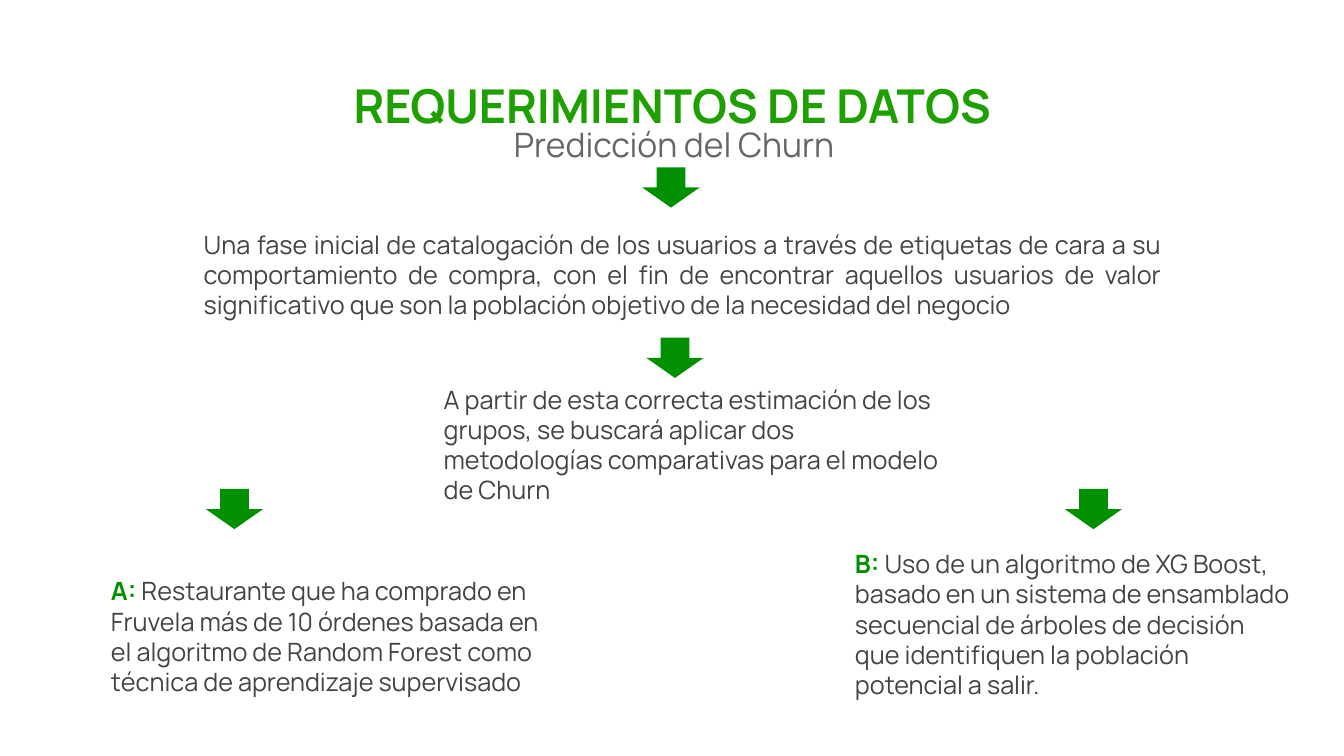
import pptx
import pptx.util
import pptx.dml.color
import pptx.enum.shapes
import pptx.enum.text

RGBColor = pptx.dml.color.RGBColor
LEAF = RGBColor(0x1E, 0xA1, 0x00)
GREEN = RGBColor(0x00, 0x90, 0x00)
GREY = RGBColor(0x66, 0x66, 0x66)
DARK = RGBColor(0x43, 0x43, 0x43)
FONT = "Manrope"
SCALE = 9144
INSET = 13

ALIGN = pptx.enum.text.PP_ALIGN
ANCHOR = pptx.enum.text.MSO_ANCHOR
FIT = pptx.enum.text.MSO_AUTO_SIZE

ARROWS = [(204, 485), (1056, 485), (637, 166), (641, 335)]
INTRO = (
    "Una fase inicial de catalogación de los usuarios a través de etiquetas "
    "de cara a su comportamiento de compra, con el fin de encontrar aquellos "
    "usuarios de valor significativo que son la población objetivo de la "
    "necesidad del negocio"
)
METHOD = (
    "A partir de esta correcta estimación de los grupos, se buscará aplicar "
    "dos metodologías comparativas para el modelo de Churn"
)
FOREST = (
    "Restaurante que ha comprado en Fruvela más de 10 órdenes basada en el "
    "algoritmo de Random Forest como técnica de aprendizaje supervisado"
)
BOOST = (
    "Uso de un algoritmo de XG Boost, basado en un sistema de ensamblado "
    "secuencial de árboles de decisión que identifiquen la población "
    "potencial a salir."
)


def px(num):
    return pptx.util.Emu(num * SCALE)


def place(shape, box):
    shape.left, shape.top, shape.width, shape.height = map(px, box)


def write(shape, text, label="", size=18, color=DARK, bold=False,
          align=ALIGN.LEFT, anchor=ANCHOR.MIDDLE, lead=1.0, fit=FIT.NONE):
    frame = shape.text_frame
    frame.word_wrap = True
    frame.auto_size = fit
    frame.vertical_anchor = anchor
    frame.margin_left = frame.margin_right = px(INSET)
    frame.margin_top = frame.margin_bottom = px(INSET)
    para = frame.paragraphs[0]
    para.alignment = align
    para.line_spacing = lead
    for part, tint, heavy in ((label, GREEN, True), (text, color, bold)):
        if part:
            run = para.add_run()
            run.text = part
            run.font.name = FONT
            run.font.size = pptx.util.Pt(size)
            run.font.bold = heavy
            run.font.color.rgb = tint


def add_text(slide, box, text, **style):
    write(slide.shapes.add_textbox(*map(px, box)), text, **style)


def add_title(slide, box, text, **style):
    title = slide.shapes.title
    place(title, box)
    write(title, text, **style)


def add_arrow(slide, left, top):
    kind = pptx.enum.shapes.MSO_SHAPE.DOWN_ARROW
    arrow = slide.shapes.add_shape(kind, px(left), px(top), px(57), px(40))
    arrow.shadow.inherit = False
    arrow.fill.solid()
    arrow.fill.fore_color.rgb = GREEN
    arrow.line.fill.background()


def main():
    deck = pptx.Presentation()
    deck.slide_width, deck.slide_height = px(1333), px(750)
    slide = deck.slides.add_slide(deck.slide_layouts[5])
    add_title(slide, (285, 55, 764, 91), "REQUERIMIENTOS DE DATOS", size=33.3,
              color=LEAF, bold=True, align=ALIGN.CENTER, anchor=ANCHOR.TOP,
              lead=1.15, fit=FIT.SHAPE_TO_FIT_TEXT)
    add_text(slide, (190, 110, 957, 59), "Predicción del Churn", size=24,
             color=GREY, align=ALIGN.CENTER, anchor=ANCHOR.TOP)
    add_text(slide, (189, 216, 976, 112), INTRO, align=ALIGN.JUSTIFY)
    add_text(slide, (427, 385, 531, 112), METHOD)
    add_text(slide, (97, 575, 459, 112), FOREST, label="A: ")
    add_text(slide, (835, 563, 459, 112), BOOST, label="B: ")
    for left, top in ARROWS:
        add_arrow(slide, left, top)
    deck.save("out.pptx")


if __name__ == "__main__":
    main()
